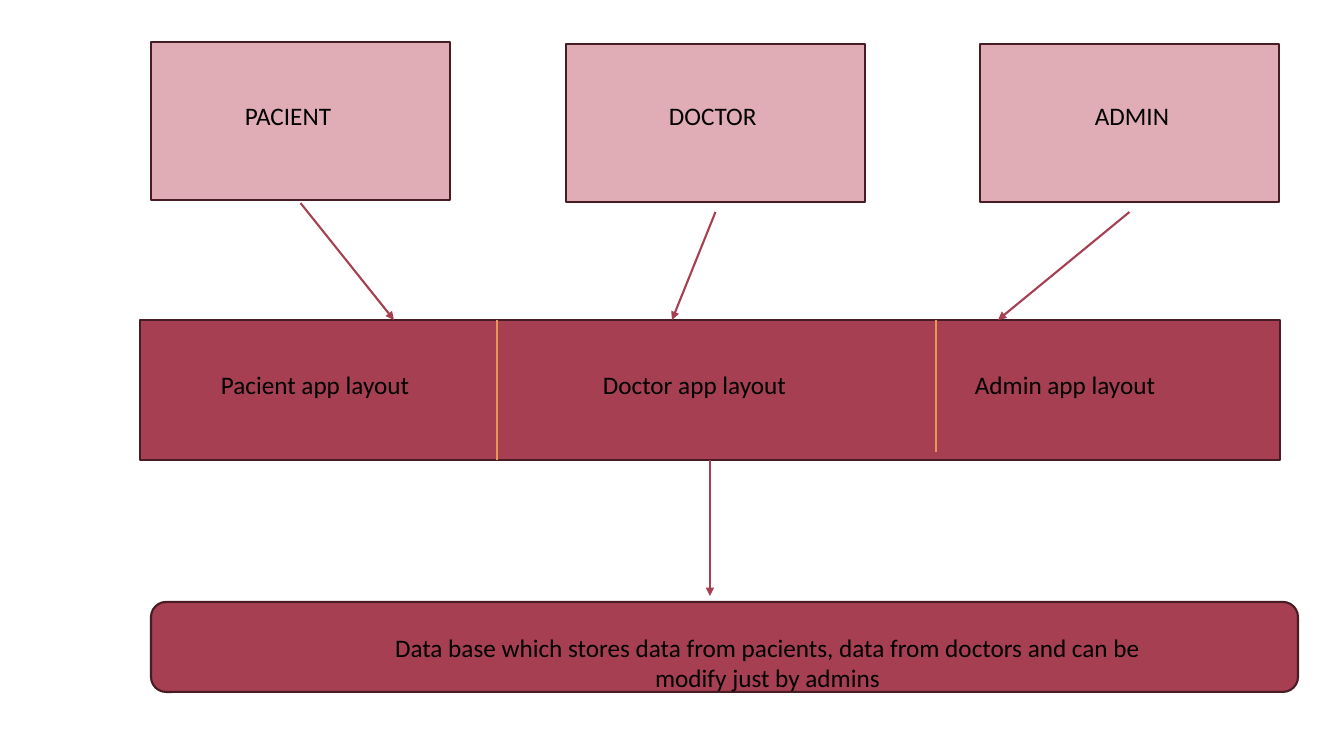
from dataclasses import dataclass

import pptx
import pptx.util
from lxml import etree
from pptx.dml.color import RGBColor
from pptx.enum.shapes import MSO_CONNECTOR, MSO_SHAPE
from pptx.enum.text import MSO_AUTO_SIZE, PP_ALIGN
from pptx.oxml.ns import qn

PX = 914400 / 100.8


@dataclass(frozen=True)
class Theme:
    font: str = "Calibri"
    text_size: int = 18
    line_width: float = 1.5
    text: str = "000000"
    role_fill: str = "E0ADB6"
    main_fill: str = "A53F51"
    outline: str = "481C24"
    divider: str = "E89756"


THEME = Theme()

# All lengths are px: (left, top, width, height) or (x, y).
ROLE_SIZE = (299, 158)
ROLES = [
    # box corner, label, label left, arrow start y, arrow end x
    ((151, 42), "PACIENT", 235, 203, 394),
    ((566, 44), "DOCTOR", 659, 212, 672),
    ((980, 44), "ADMIN", 1085, 212, 998),
]
ROLE_LABEL_TOP, ROLE_LABEL_WIDTH = 95, 238

LAYOUT_BAND = (140, 320, 1140, 140)
LAYOUTS = [
    ("Pacient app layout", 211, 249),
    ("Doctor app layout", 593, 334),
    ("Admin app layout", 965, 334),
]
LAYOUT_LABEL_TOP, LABEL_HEIGHT = 364, 40
DIVIDERS = [(497, 460), (936, 452)]  # x, bottom

DATABASE_BOX = (151, 602, 1147, 90)
DATABASE_LABEL = (352, 627, 831, 72)
DATABASE_TEXT = ("Data base which stores data from pacients, data from doctors "
                 "and can be modify just by admins")
DATABASE_ARROW_END = 596


def emu(*lengths):
    return [pptx.util.Emu(round(length * PX)) for length in lengths]


def add_box(page, kind, area, fill):
    box = page.shapes.add_shape(kind, *emu(*area))
    box.shadow.inherit = False
    box.fill.solid()
    box.fill.fore_color.rgb = RGBColor.from_string(fill)
    box.line.color.rgb = RGBColor.from_string(THEME.outline)
    box.line.width = pptx.util.Pt(THEME.line_width)
    return box


def add_label(page, text, area, align=PP_ALIGN.LEFT):
    frame = page.shapes.add_textbox(*emu(*area)).text_frame
    frame.word_wrap = True
    frame.auto_size = MSO_AUTO_SIZE.SHAPE_TO_FIT_TEXT
    frame.text = text
    para = frame.paragraphs[0]
    para.alignment = align
    font = para.runs[0].font
    font.name = THEME.font
    font.size = pptx.util.Pt(THEME.text_size)
    font.color.rgb = RGBColor.from_string(THEME.text)


def add_line(page, start, end, color, arrow=False):
    line = page.shapes.add_connector(MSO_CONNECTOR.STRAIGHT, *emu(*start, *end))
    line.line.color.rgb = RGBColor.from_string(color)
    line.line.width = pptx.util.Pt(THEME.line_width)
    if arrow:
        outline = line.line._get_or_add_ln()
        etree.SubElement(outline, qn("a:tailEnd"), type="triangle")
    etree.SubElement(line._element.spPr, qn("a:effectLst"))
    return line


def main():
    deck = pptx.Presentation()
    deck.slide_width, deck.slide_height = emu(1344, 756)
    page = deck.slides.add_slide(deck.slide_layouts[6])

    band_left, band_top, band_width, band_height = LAYOUT_BAND
    band = add_box(page, MSO_SHAPE.RECTANGLE, LAYOUT_BAND, THEME.main_fill)

    for corner, name, label_left, arrow_top, arrow_x in ROLES:
        add_box(page, MSO_SHAPE.RECTANGLE, corner + ROLE_SIZE, THEME.role_fill)
        add_label(page, name,
                  (label_left, ROLE_LABEL_TOP, ROLE_LABEL_WIDTH, LABEL_HEIGHT))
        center_x = corner[0] + ROLE_SIZE[0] / 2
        add_line(page, (center_x, arrow_top), (arrow_x, band_top),
                 THEME.main_fill, arrow=True)

    for x, bottom in DIVIDERS:
        add_line(page, (x, band_top), (x, bottom), THEME.divider)
    for name, left, width in LAYOUTS:
        add_label(page, name, (left, LAYOUT_LABEL_TOP, width, LABEL_HEIGHT))

    band_center = band_left + band_width / 2
    database_arrow = add_line(page, (band_center, band_top + band_height),
                              (band_center, DATABASE_ARROW_END),
                              THEME.main_fill, arrow=True)
    database_arrow.begin_connect(band, 2)

    add_box(page, MSO_SHAPE.ROUNDED_RECTANGLE, DATABASE_BOX, THEME.main_fill)
    add_label(page, DATABASE_TEXT, DATABASE_LABEL, PP_ALIGN.CENTER)

    deck.save("out.pptx")


if __name__ == "__main__":
    main()
